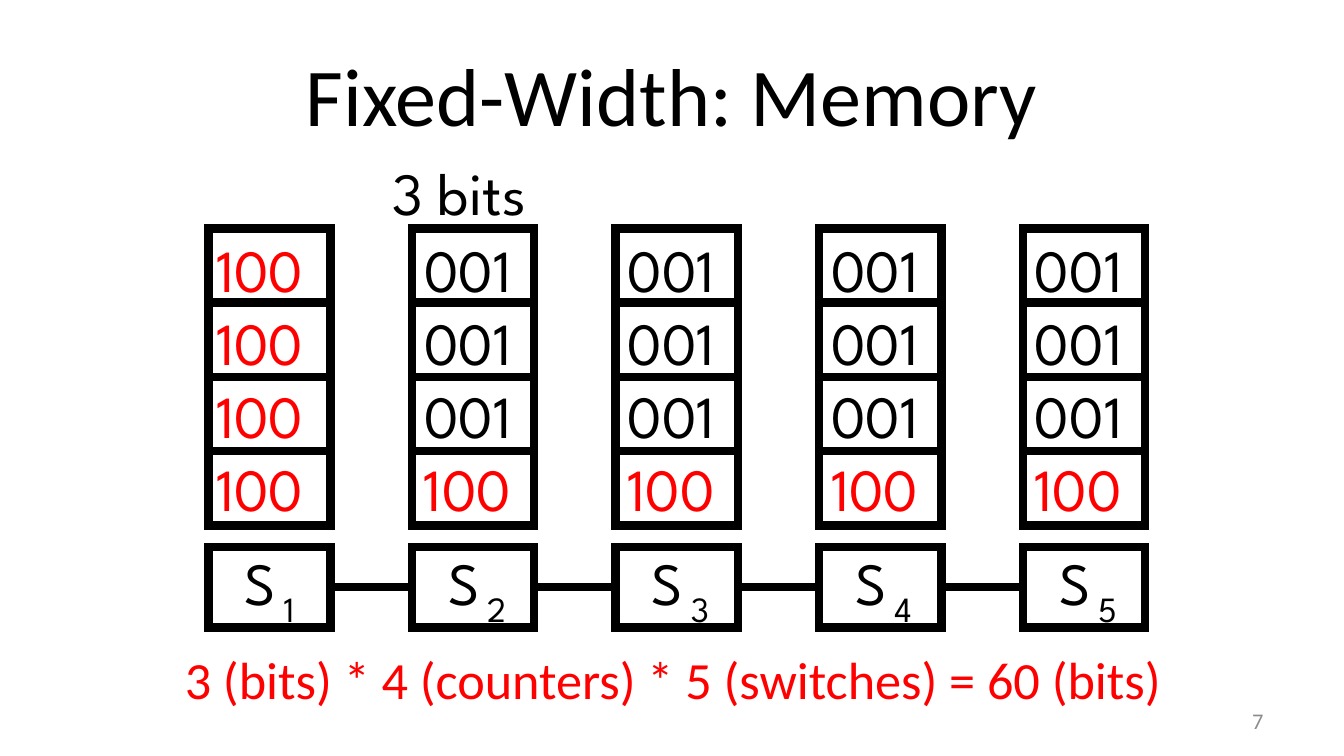
from dataclasses import dataclass

from lxml import etree
from pptx import Presentation
from pptx.dml.color import RGBColor
from pptx.enum.shapes import MSO_CONNECTOR, MSO_SHAPE
from pptx.enum.text import MSO_ANCHOR, MSO_AUTO_SIZE, PP_ALIGN
from pptx.oxml.ns import qn
from pptx.util import Inches, Pt

RECTANGLE = MSO_SHAPE.RECTANGLE
STRAIGHT = MSO_CONNECTOR.STRAIGHT
LEFT, CENTER, RIGHT = PP_ALIGN.LEFT, PP_ALIGN.CENTER, PP_ALIGN.RIGHT
MIDDLE, TOP = MSO_ANCHOR.MIDDLE, MSO_ANCHOR.TOP
GROW = MSO_AUTO_SIZE.SHAPE_TO_FIT_TEXT
LEFT_SIDE, RIGHT_SIDE = 1, 3


@dataclass(frozen=True)
class Theme:
    black: RGBColor = RGBColor(0, 0, 0)
    red: RGBColor = RGBColor(255, 0, 0)
    gray: RGBColor = RGBColor(0x8C, 0x8C, 0x8C)
    text_font: str = "Calibri"
    diagram_font: str = "League Spartan"
    title_size: float = 44
    diagram_size: float = 32
    formula_size: float = 28
    subscript_size: float = 19
    number_size: float = 12
    line_width: float = 4.5


THEME = Theme()
SLIDE_WIDTH = 10
SLIDE_HEIGHT = SLIDE_WIDTH * 9 / 16

OLD, NEW = "100", "001"
COUNTERS = [[OLD] * 4] + [[NEW] * 3 + [OLD]] * 4

# Grid of the diagram, in inches
FIRST_LEFT, LAST_LEFT = 1.55, 7.61
COLUMN_PITCH = (LAST_LEFT - FIRST_LEFT) / (len(COUNTERS) - 1)
CELL_WIDTH = 0.91
CELLS_TOP, CELLS_BOTTOM = 1.7, 3.91
CELL_HEIGHT = (CELLS_BOTTOM - CELLS_TOP) / len(COUNTERS[0])
VALUES_TOP, LAST_VALUE_TOP = 1.73, 3.36
VALUE_PITCH = (LAST_VALUE_TOP - VALUES_TOP) / (len(COUNTERS[0]) - 1)
SWITCH_TOP, SWITCH_HEIGHT = 4.07, 0.6


def format_runs(paragraph, font_name, size, color):
    for run in paragraph.runs:
        run.font.name = font_name
        run.font.size = Pt(size)
        run.font.color.rgb = color


def add_text(slide, box, text, size, color, align, anchor=TOP):
    """Add a wrapping text box; box is left, top, width, height."""
    shape = slide.shapes.add_textbox(*map(Inches, box))
    frame = shape.text_frame
    frame.word_wrap = True
    frame.vertical_anchor = anchor
    frame.text = text
    paragraph = frame.paragraphs[0]
    paragraph.alignment = align
    format_runs(paragraph, THEME.text_font, size, color)
    return paragraph


def add_label(slide, box, text, size=THEME.diagram_size, color=THEME.black):
    """Add diagram text that has no margins and fits its content."""
    shape = slide.shapes.add_textbox(*map(Inches, box))
    frame = shape.text_frame
    frame.margin_left = frame.margin_right = 0
    frame.margin_top = frame.margin_bottom = 0
    frame.word_wrap = False
    frame.auto_size = GROW
    frame.text = text
    frame.paragraphs[0].alignment = LEFT
    format_runs(frame.paragraphs[0], THEME.diagram_font, size, color)


def style_line(line):
    line.color.rgb = THEME.black
    line.width = Pt(THEME.line_width)


def add_box(slide, left, top, width, height):
    shape = slide.shapes.add_shape(
        RECTANGLE, *map(Inches, (left, top, width, height)))
    shape.shadow.inherit = False
    shape.fill.background()
    style_line(shape.line)
    outline = shape.element.spPr.find(qn("a:ln"))
    etree.SubElement(outline, qn("a:miter"), lim="800000")
    return shape


def add_line(slide, start_x, start_y, end_x, end_y):
    line = slide.shapes.add_connector(
        STRAIGHT, *map(Inches, (start_x, start_y, end_x, end_y)))
    style_line(line.line)
    etree.SubElement(line.element.spPr, qn("a:effectLst"))
    return line


def add_counters(slide, left, values, inset):
    for row, value in enumerate(values):
        add_box(slide, left, CELLS_TOP + row * CELL_HEIGHT,
                CELL_WIDTH, CELL_HEIGHT)
        top = VALUES_TOP + row * VALUE_PITCH
        if value == OLD:
            add_label(slide, (left + inset, top, 0.8, 0.54), value,
                      color=THEME.red)
        else:
            add_label(slide, (left + inset, top, 0.98, 0.61), value)
    add_line(slide, left, CELLS_BOTTOM, left + CELL_WIDTH, CELLS_BOTTOM)


def add_switch(slide, left, number):
    switch = add_box(slide, left, SWITCH_TOP, CELL_WIDTH, SWITCH_HEIGHT)
    add_label(slide, (left + 0.27, SWITCH_TOP - 0.01, 0.51, 0.61), "S")
    add_label(slide, (left + 0.56, SWITCH_TOP + 0.3, 0.29, 0.37),
              str(number), THEME.subscript_size)
    return switch


def add_links(slide, switches):
    for before, after in zip(switches, switches[1:]):
        link = add_line(slide, 0, 0, 0, 0)
        link.begin_connect(before, RIGHT_SIDE)
        link.end_connect(after, LEFT_SIDE)


def main():
    presentation = Presentation()
    presentation.slide_width = Inches(SLIDE_WIDTH)
    presentation.slide_height = Inches(SLIDE_HEIGHT)
    slide = presentation.slides.add_slide(presentation.slide_layouts[6])

    add_text(slide, (0.5, 0.23, 9, 0.94), "Fixed-Width: Memory",
             THEME.title_size, THEME.black, CENTER, MIDDLE)
    add_text(slide, (7.17, 5.21, 2.33, 0.3), "7",
             THEME.number_size, THEME.gray, RIGHT, MIDDLE)

    switches = []
    for column, values in enumerate(COUNTERS):
        left = FIRST_LEFT + column * COLUMN_PITCH
        add_counters(slide, left, values, 0.09 if column else 0.06)
        switches.append(add_switch(slide, left, column + 1))
    add_links(slide, switches)
    add_label(slide, (2.92, 1.16, 1.35, 0.61), "3 bits")

    formula = add_text(slide, (1.27, 4.77, 7.47, 0.61),
                       "3 (bits) * 4 (counters) * 5 (switches) = 60 (bits)",
                       THEME.formula_size, THEME.red, CENTER)
    formula.space_before = Pt(0.2 * THEME.formula_size)

    presentation.save("out.pptx")


if __name__ == "__main__":
    main()
